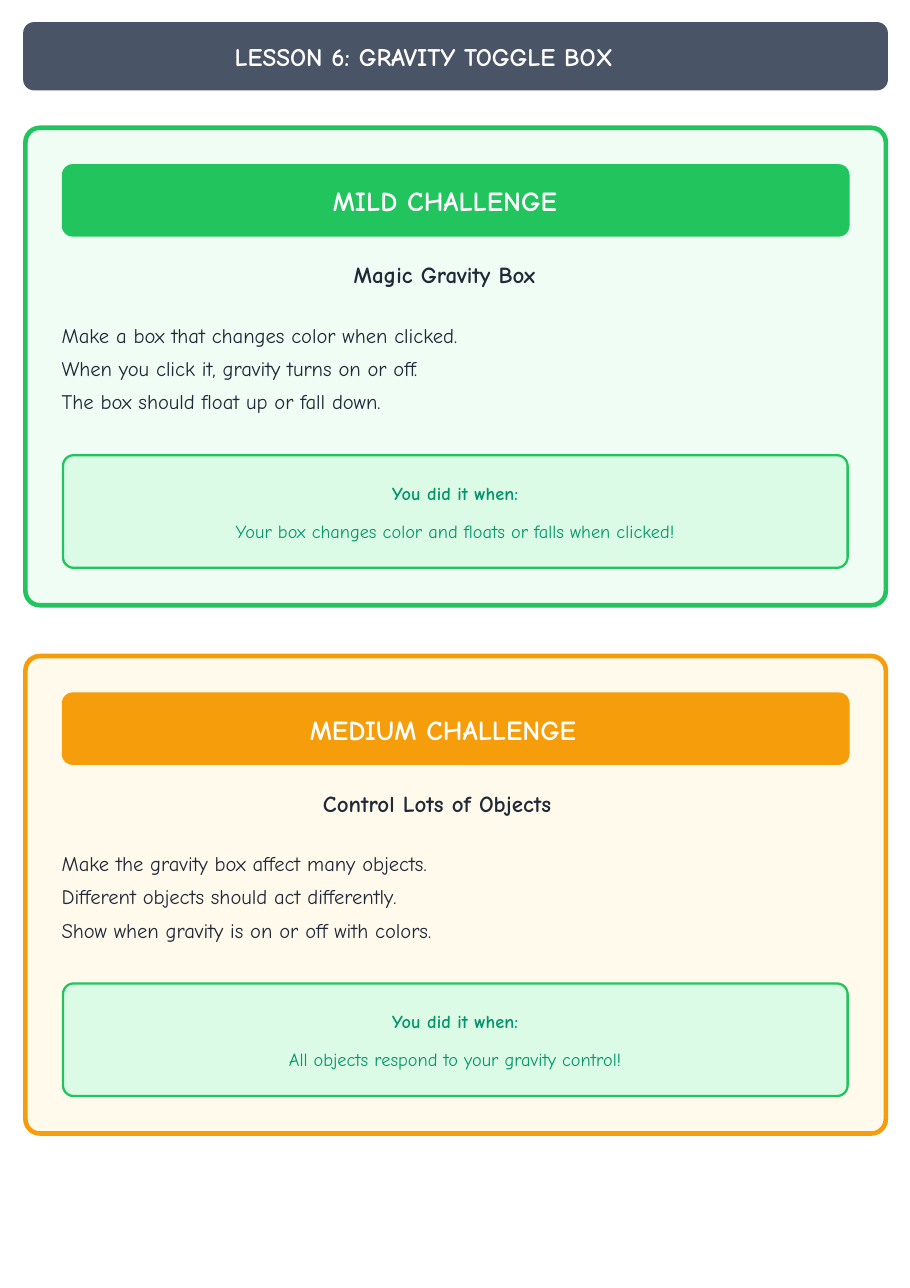
from dataclasses import dataclass

from pptx import Presentation
from pptx.dml.color import RGBColor
from pptx.enum import shapes, text
from pptx.util import Pt


@dataclass(frozen=True)
class Theme:
    """Colours, font and type sizes of the worksheet."""

    font: str = "Comic Neue"
    white: str = "FFFFFF"
    slate: str = "4A5467"
    ink: str = "1F2937"
    green: str = "21C45D"
    mint: str = "F0FDF4"
    orange: str = "F59D0A"
    cream: str = "FFFAEB"
    success_fill: str = "DBFBE7"
    success_text: str = "049569"
    title: float = 16.5
    banner: float = 18
    heading: float = 15
    body: float = 13.5
    note: float = 12


@dataclass(frozen=True)
class Challenge:
    """Wording, colours and text indents of one challenge card."""

    level: str
    level_indent: float
    heading: str
    heading_indent: float
    steps: tuple
    success: str
    accent: str
    fill: str


THEME = Theme()
CARD_TOP = 83.5
CARD_PITCH = 345.2
CHALLENGES = (
    Challenge(
        "MILD CHALLENGE", 175, "Magic Gravity Box", 191.5,
        ("Make a box that changes color when clicked.",
         "When you click it, gravity turns on or off.",
         "The box should float up or fall down."),
        "Your box changes color and floats or falls when clicked!",
        THEME.green, THEME.mint),
    Challenge(
        "MEDIUM CHALLENGE", 160, "Control Lots of Objects", 171.5,
        ("Make the gravity box affect many objects.",
         "Different objects should act differently.",
         "Show when gravity is on or off with colors."),
        "All objects respond to your gravity control!",
        THEME.orange, THEME.cream),
)


def color(value):
    """Turn a hex value into a colour."""
    return RGBColor.from_string(value)


def set_frame(shape, left=0):
    """Clear the insets of a text frame, apart from the left one."""
    frame = shape.text_frame
    frame.word_wrap = True
    frame.margin_left = Pt(left)
    frame.margin_top = Pt(0.7)
    frame.margin_right = frame.margin_bottom = 0
    return frame


def add_panel(slide, left, top, width, height, radius, fill, line=None, line_width=0):
    """Add a rounded panel with an optional outline."""
    shape = slide.shapes.add_shape(
        shapes.MSO_SHAPE.ROUNDED_RECTANGLE, Pt(left), Pt(top), Pt(width), Pt(height))
    shape.adjustments[0] = radius / min(width, height)
    shape.shadow.inherit = False
    shape.fill.solid()
    shape.fill.fore_color.rgb = color(fill)
    if line:
        shape.line.color.rgb = color(line)
        shape.line.width = Pt(line_width)
    else:
        shape.line.fill.background()
    return shape


def write(paragraph, words, size, ink, bold=False, before=None, align=text.PP_ALIGN.LEFT):
    """Write one paragraph in the worksheet font."""
    paragraph.text = words
    paragraph.alignment = align
    if before is not None:
        paragraph.space_before = Pt(before)
    font = paragraph.font
    font.name = THEME.font
    font.size = Pt(size)
    font.bold = bold
    font.color.rgb = color(ink)


def add_banner(slide, left, top, width, height, fill, words, size, indent):
    """Add a filled bar with an indented bold label."""
    banner = add_panel(slide, left, top, width, height, 7.2, fill)
    frame = set_frame(banner, indent)
    frame.vertical_anchor = text.MSO_ANCHOR.MIDDLE
    write(frame.paragraphs[0], words, size, THEME.white, bold=True)


def add_instructions(slide, top, challenge):
    """Add the heading and steps of a challenge."""
    box = slide.shapes.add_textbox(Pt(39.6), Pt(top), Pt(346), Pt(102))
    frame = set_frame(box)
    heading = frame.paragraphs[0]
    heading._p.get_or_add_pPr().set("marL", str(Pt(challenge.heading_indent)))
    write(heading, challenge.heading, THEME.heading, THEME.ink, bold=True)
    *opening, closing = challenge.steps
    steps = frame.add_paragraph()
    write(steps, "\v".join(opening), THEME.body, THEME.ink, before=16.9)
    steps.line_spacing = 1.34
    write(frame.add_paragraph(), closing, THEME.body, THEME.ink, before=5.5)
    for paragraph in frame.paragraphs[1:]:
        paragraph._p.get_or_add_pPr().set("marL", str(Pt(0.7)))


def add_success(slide, top, words):
    """Add the outlined box that tells when the challenge is done."""
    panel = add_panel(slide, 41.2, top, 512.8, 73.6, 7, THEME.success_fill, THEME.green, 1.5)
    frame = set_frame(panel)
    frame.vertical_anchor = text.MSO_ANCHOR.MIDDLE
    center = text.PP_ALIGN.CENTER
    write(frame.paragraphs[0], "You did it when:", THEME.note, THEME.success_text,
          bold=True, align=center)
    write(frame.add_paragraph(), words, THEME.note, THEME.success_text,
          before=10.3, align=center)


def add_card(slide, top, challenge):
    """Add one challenge card."""
    add_panel(slide, 16.6, top, 562.3, 312, 9.4, challenge.fill, challenge.accent, 3)
    add_banner(slide, 40.4, top + 23.8, 514.8, 47.4, challenge.accent,
               challenge.level, THEME.banner, challenge.level_indent)
    add_instructions(slide, top + 86.4, challenge)
    add_success(slide, top + 214, challenge.success)


def main():
    """Build the worksheet."""
    presentation = Presentation()
    presentation.slide_width = Pt(594.72)
    presentation.slide_height = Pt(841.68)
    slide = presentation.slides.add_slide(presentation.slide_layouts[6])
    add_banner(slide, 15.1, 14.4, 565.2, 44.7, THEME.slate,
               "LESSON 6: GRAVITY TOGGLE BOX", THEME.title, 136.2)
    for index, challenge in enumerate(CHALLENGES):
        add_card(slide, CARD_TOP + index * CARD_PITCH, challenge)
    presentation.save("out.pptx")


if __name__ == "__main__":
    main()
